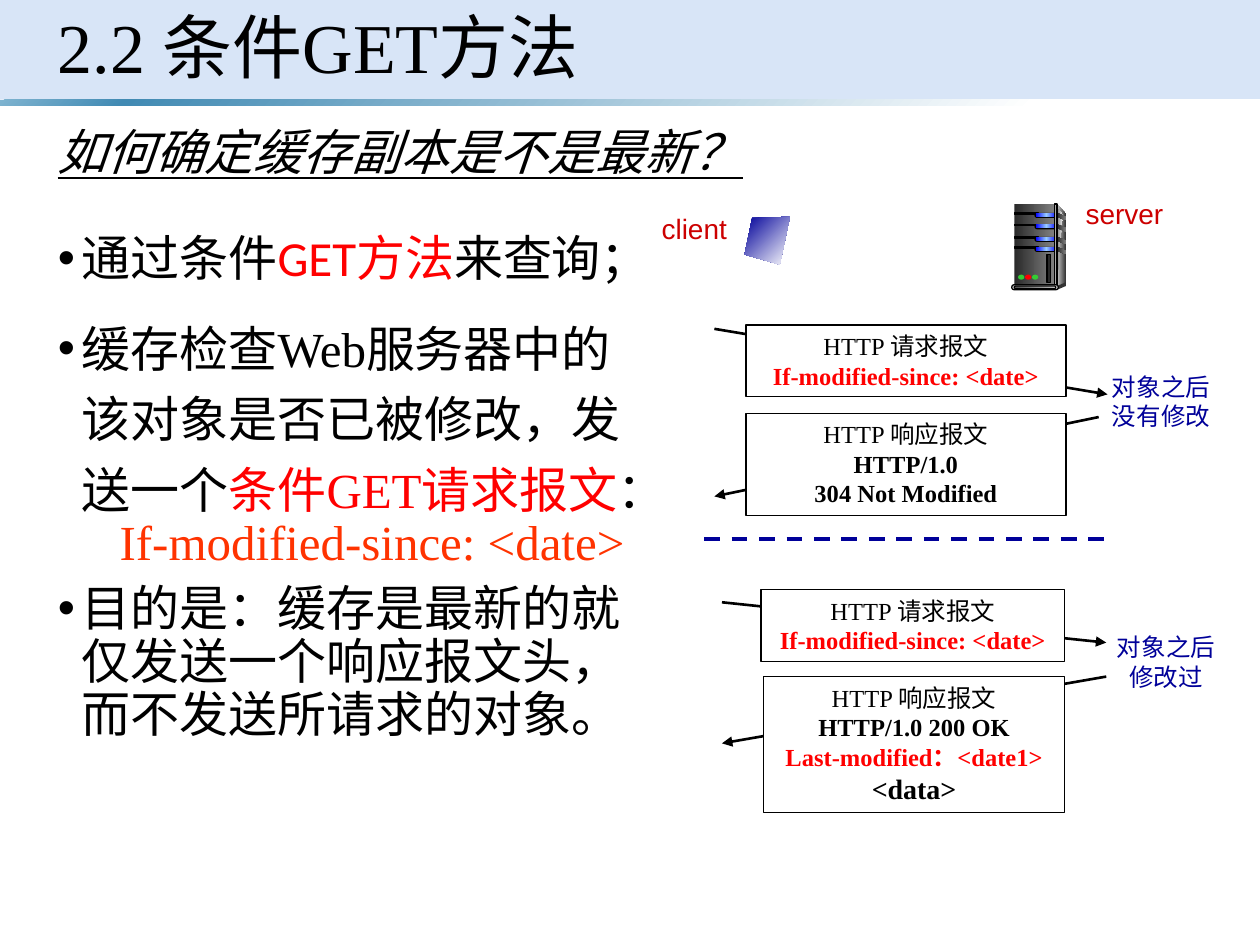
from lxml.etree import SubElement
from pptx import Presentation
from pptx.dml.color import RGBColor
from pptx.enum.dml import MSO_LINE
from pptx.enum.shapes import MSO_CONNECTOR, MSO_SHAPE
from pptx.enum.text import MSO_ANCHOR, MSO_AUTO_SIZE, PP_ALIGN
from pptx.oxml.ns import qn
from pptx.util import Inches, Pt

COLORS = {
    "black": "000000", "white": "FFFFFF", "red": "FF0000", "orange": "FF3300",
    "navy": "000099", "label": "CC0000", "band": "C8DAF4", "sky": "7EB3D0",
    "ocean": "418AB3", "dark": "292929", "charcoal": "333333", "gray": "808080",
    "steel": "5E5E5E", "silver": "DDDDDD", "pale": "F8F8F8", "blue": "0000FF",
    "ice": "99CCFF", "green": "33CC33",
}
SERIF, SANS, BODY = "Times New Roman", "Arial", "Calibri"


def rgb(name):
    return RGBColor.from_string(COLORS[name])


def set_values(target, values):
    for name, value in values.items():
        setattr(target, name, value)


def add_run(paragraph, text, color, **font_values):
    run = paragraph.add_run()
    run.text = text
    set_values(run.font, font_values)
    run.font.color.rgb = rgb(color)


def paint(shape, fill, line=None, angle=0):
    """Fill with a colour name, or with a gradient given as (percent, colour) pairs."""
    shape.shadow.inherit = False
    if isinstance(fill, str):
        shape.fill.solid()
        shape.fill.fore_color.rgb = rgb(fill)
    else:
        shape.fill.gradient()
        gradient = shape._element.spPr.find(qn("a:gradFill"))
        stops = gradient.find(qn("a:gsLst"))
        for stop in list(stops):
            stops.remove(stop)
        for percent, color in fill:
            stop = SubElement(stops, qn("a:gs"), pos=str(percent * 1000))
            SubElement(stop, qn("a:srgbClr"), val=COLORS[color])
        gradient.find(qn("a:lin")).set("ang", str(angle * 60000))
    if line:
        shape.line.color.rgb = rgb(line)
        shape.line.width = Pt(0.75)
    else:
        shape.line.fill.background()
    return shape


def add_preset(slide, kind, box, fill, line=None, angle=0):
    shape = slide.shapes.add_shape(kind, *map(Inches, box))
    if kind == MSO_SHAPE.ROUNDED_RECTANGLE:
        shape.adjustments[0] = 0.5
    return paint(shape, fill, line, angle)


def add_outline(slide, points, fill, angle=0):
    corners = [(Inches(x), Inches(y)) for x, y in points]
    builder = slide.shapes.build_freeform(*corners[0])
    builder.add_line_segments(corners[1:], close=True)
    return paint(builder.convert_to_shape(), fill, angle=angle)


def add_line(slide, start, end, color="black", width=1.5, arrow=True):
    line = slide.shapes.add_connector(MSO_CONNECTOR.STRAIGHT, *map(Inches, start + end))
    line.line.color.rgb = rgb(color)
    line.line.width = Pt(width)
    if arrow:
        SubElement(line.line._get_or_add_ln(), qn("a:tailEnd"), type="triangle")
    else:
        line.line.dash_style = MSO_LINE.DASH
    SubElement(line._element.spPr, qn("a:effectLst"))


def add_centered_text(slide, box, lines, font, wrap=False):
    """Each line is (text, colour, bold, size)."""
    shape = slide.shapes.add_textbox(*map(Inches, box))
    frame = shape.text_frame
    set_values(frame, {"word_wrap": wrap, "auto_size": MSO_AUTO_SIZE.SHAPE_TO_FIT_TEXT})
    for index, (text, color, bold, size) in enumerate(lines):
        paragraph = frame.add_paragraph() if index else frame.paragraphs[0]
        paragraph.alignment = PP_ALIGN.CENTER
        add_run(paragraph, text, color, name=font, size=Pt(size), bold=bold)
    return shape


def add_header(slide, box):
    left, top, width, height = box
    band = add_preset(slide, MSO_SHAPE.RECTANGLE, box, "band")
    color = band._element.spPr.find(qn("a:solidFill"))[0]
    SubElement(color, qn("a:alpha"), val="70000")
    add_preset(slide, MSO_SHAPE.RECTANGLE, (left, top + height, width, 0.05),
               [(0, "sky"), (10, "ocean"), (82, "white"), (96, "white")], angle=45)
    title = slide.shapes.title
    # The title is drawn above the band
    slide.shapes._spTree.append(title._element)
    set_values(title, dict(zip(("left", "top", "width", "height"),
                               map(Inches, (left + 0.36, top, width - 0.72, 0.81)))))
    set_values(title.text_frame, {"vertical_anchor": MSO_ANCHOR.MIDDLE,
                                  "auto_size": MSO_AUTO_SIZE.NONE})
    paragraph = title.text_frame.paragraphs[0]
    set_values(paragraph, {"alignment": PP_ALIGN.LEFT, "line_spacing": 0.9})
    add_run(paragraph, "2.2 条件GET方法", "black", name=SERIF, size=Pt(40))


def add_question(slide, box):
    frame = slide.shapes.add_textbox(*map(Inches, box)).text_frame
    frame.word_wrap = True
    frame.paragraphs[0].line_spacing = 0.9
    add_run(frame.paragraphs[0], "如何确定缓存副本是不是最新？", "black",
            name=BODY, size=Pt(28), italic=True, underline=True)


def add_body(slide, box):
    body = slide.placeholders[1]
    set_values(body, dict(zip(("left", "top", "width", "height"), map(Inches, box))))
    frame = body.text_frame
    frame.auto_size = MSO_AUTO_SIZE.NONE
    # bullet, font, line spacing, space before, runs
    content = [
        (True, BODY, 0.9, 0, [("通过条件", "black"), ("GET方法", "red"), ("来查询；", "black")]),
        (True, SERIF, 1.2, 11, [("缓存检查Web服务器中的该对象是否已被修改，发送一个", "black"),
                                ("条件GET请求报文", "red"), ("：", "black")]),
        (False, SERIF, 0.9, 0, [("If-modified-since: <date>", "orange")]),
        (True, BODY, 0.9, 7.5,
         [("目的是：缓存是最新的就仅发送一个响应报文头，而不发送所请求的对象。", "black")]),
    ]
    for index, (bullet, font, spacing, before, runs) in enumerate(content):
        paragraph = frame.add_paragraph() if index else frame.paragraphs[0]
        set_values(paragraph, {"line_spacing": spacing, "space_before": Pt(before)})
        properties = paragraph._p.get_or_add_pPr()
        properties.set("marL", str(Inches(0.19 if bullet else 0.49)))
        properties.set("indent", str(Inches(-0.19 if bullet else 0)))
        if bullet:
            SubElement(properties, qn("a:buFont"), typeface=SANS)
            SubElement(properties, qn("a:buChar"), char="•")
        else:
            SubElement(properties, qn("a:buNone"))
        for text, color in runs:
            add_run(paragraph, text, color, name=font, size=Pt(28))


def add_exchange(slide, origin, messages, note_at, note):
    """Each message is (arrow start, arrow end, box, lines), relative to origin."""
    left, top = origin
    for start, end, (x, y, width, height), lines in messages:
        add_line(slide, (left + start[0], top + start[1]), (left + end[0], top + end[1]))
        shape = add_centered_text(slide, (left + x, top + y, width, height), lines, SERIF, True)
        paint(shape, "white", "black")
    add_centered_text(slide, (left + note_at[0], top + note_at[1], 0.99, 0.57),
                      [(text, "navy", False, 14) for text in note], SANS)


def add_server(slide, origin):
    left, top = origin
    shade = [(0, "dark"), (100, "gray")]
    glow = [(0, "blue"), (50, "ice"), (100, "blue")]
    edge = [(0, "charcoal"), (50, "silver"), (100, "charcoal")]
    rectangle, pill, oval = MSO_SHAPE.RECTANGLE, MSO_SHAPE.ROUNDED_RECTANGLE, MSO_SHAPE.OVAL

    def part(kind, x, y, width, height, fill, line=None):
        add_preset(slide, kind, (left + x, top + y, width, height), fill, line)

    def outline(points, fill):
        add_outline(slide, [(left + x, top + y) for x, y in points], fill)

    outline([(0.36, 0), (0.43, 0.08), (0.43, 0.62), (0.35, 0.65)],
            [(0, "silver"), (100, "charcoal")])
    part(rectangle, 0.02, 0, 0.32, 0.65, shade)
    outline([(0.36, 0.04), (0.38, 0.05), (0.41, 0.09), (0.38, 0.3), (0.36, 0.63)],
            [(0, "gray"), (100, "pale")])
    for y in (0.07, 0.16, 0.26, 0.34):
        part(rectangle, 0.02, y, 0.19, 0.01, "black", "black")
        part(pill, 0.18, y, 0.18, 0.04, "black")
        part(pill, 0.19, y, 0.17, 0.03, glow)
        outline([(0.36, y), (0.43, y + 0.03), (0.43, y + 0.06), (0.36, y + 0.03)], shade)
    part(rectangle, 0.34, 0, 0.02, 0.65, edge, "black")
    part(oval, 0.42, 0.62, 0.01, 0.03, "charcoal")
    outline([(0.36, 0.65), (0.36, 0.68), (0.43, 0.65), (0.43, 0.62)], "charcoal")
    part(pill, 0, 0.64, 0.37, 0.04, "silver", "black")
    part(pill, 0.02, 0.65, 0.33, 0.02, [(0, "steel"), (100, "silver")], "black")
    for index, color in enumerate(("green", "red", "green")):
        part(oval, 0.05 + 0.055 * index, 0.56, 0.05, 0.04, color)
    part(rectangle, 0.28, 0.4, 0.03, 0.22, "dark", "black")


def main():
    presentation = Presentation()
    set_values(presentation, {"slide_width": Inches(10), "slide_height": Inches(7.5)})
    slide = presentation.slides.add_slide(presentation.slide_layouts[1])
    add_header(slide, (0, 0, 10, 0.79))
    add_body(slide, (0.36, 1.81, 4.73, 5))

    request = [("HTTP 请求报文", "black", False, 14),
               ("If-modified-since: <date>", "red", True, 14)]
    reply = ("HTTP 响应报文", "black", False, 14)
    unchanged = [reply, ("HTTP/1.0", "black", True, 14), ("304 Not Modified", "black", True, 14)]
    changed = [reply, ("HTTP/1.0 200 OK", "black", True, 14),
               ("Last-modified：<date1>", "red", True, 14), ("<data>", "black", True, 16)]
    add_exchange(slide, (5.67, 2.58),
                 [((0, 0.03), (3.12, 0.55), (0.25, 0, 2.54, 0.57), request),
                  ((3.05, 0.73), (0, 1.36), (0.25, 0.7, 2.54, 0.81), unchanged)],
                 (3.05, 0.32), ("对象之后", "没有修改"))
    add_line(slide, (5.59, 4.28), (8.79, 4.28), "navy", 2.25, arrow=False)
    add_exchange(slide, (5.73, 4.68),
                 [((0, 0.1), (3.05, 0.42), (0.31, 0, 2.41, 0.57), request),
                  ((3.05, 0.69), (0, 1.22), (0.33, 0.69, 2.39, 1.08), changed)],
                 (3.03, 0.29), ("对象之后", "修改过"))

    for text, box in (("client", (5.15, 1.63, 0.72, 0.37)), ("server", (8.51, 1.51, 0.83, 0.37))):
        add_centered_text(slide, box, [(text, "label", False, 16)], SANS)
    add_server(slide, (8.03, 1.62))
    add_outline(slide, [(6.27, 1.72), (5.97, 1.73), (5.91, 2.02), (6.19, 2.1)],
                [(0, "navy"), (100, "white")], angle=45)
    add_question(slide, (0.36, 0.97, 7.95, 0.54))
    presentation.save("out.pptx")


if __name__ == "__main__":
    main()
